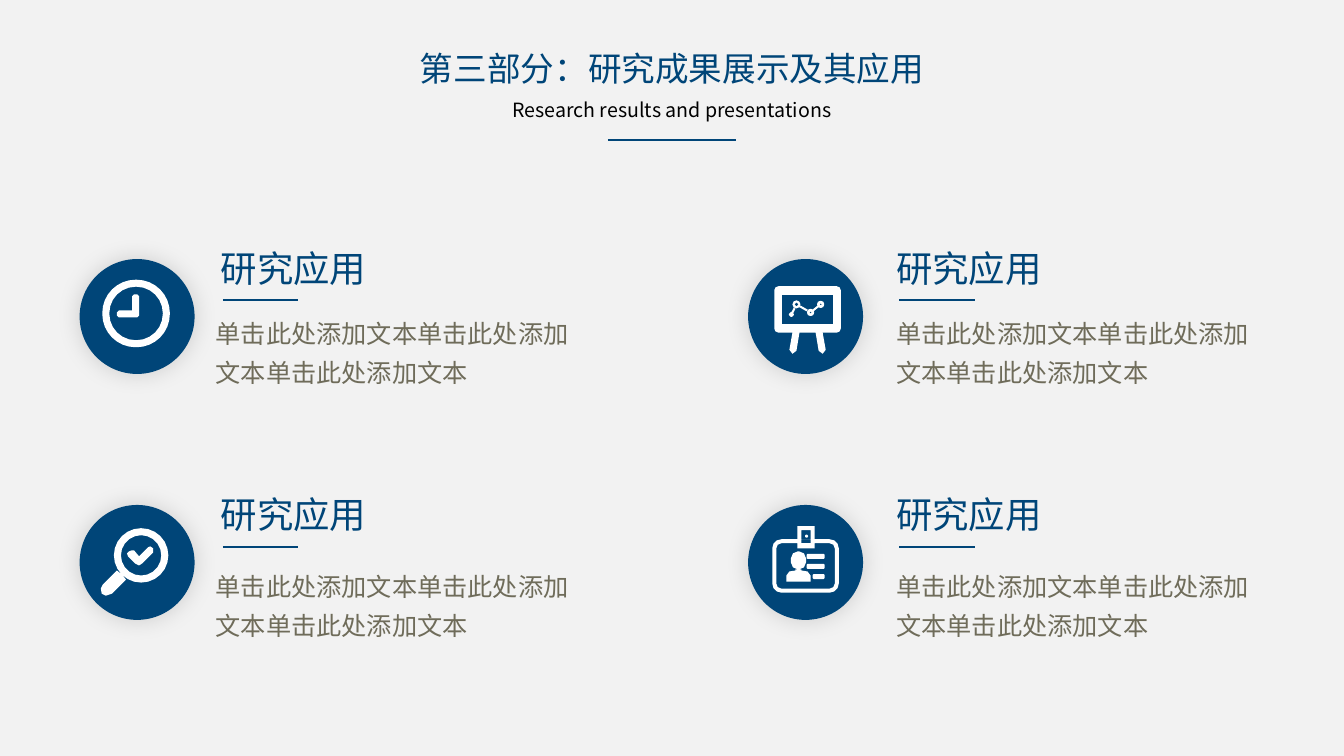
from itertools import product
from math import cos, pi, radians, sin

from lxml.etree import SubElement
from pptx import Presentation
from pptx.dml.color import RGBColor
from pptx.enum.shapes import MSO_CONNECTOR as Connector, MSO_SHAPE as Preset
from pptx.enum.text import MSO_ANCHOR as Anchor, MSO_AUTO_SIZE as AutoSize, PP_ALIGN as Align
from pptx.oxml.ns import qn
from pptx.util import Inches, Pt

NAVY = RGBColor(0x00, 0x45, 0x78)
BLACK = RGBColor(0x00, 0x00, 0x00)
OLIVE = RGBColor(0x6F, 0x6C, 0x5A)
WHITE = RGBColor(0xFF, 0xFF, 0xFF)
PAPER = RGBColor(0xF2, 0xF2, 0xF2)
FONT = "Noto Sans CJK SC"

TITLE = "第三部分：研究成果展示及其应用"
SUBTITLE = "Research results and presentations"
HEADING = "研究应用"
BODY = "单击此处添加文本单击此处添加文本单击此处添加文本"

WIDTH, HEIGHT = 13.33, 7.5
DISC = 1.14
COLUMNS = [
    {"disc": 0.79, "heading": 2.09, "rule": 2.21, "body": 2.04},
    {"disc": 7.42, "heading": 8.79, "rule": 8.92, "body": 8.79},
]
ROWS = [
    {"disc": 2.57, "heading": 2.39, "rule": 2.98, "body": 3.02},
    {"disc": 5.01, "heading": 4.83, "rule": 5.43, "body": 5.53},
]

# tuples: centre x, centre y, width, height, corner radius, rotation; lists: corner points
CLOCK = [
    (0.56, 0.54, 0.67, 0.67, 0.33, 0),
    (0.56, 0.54, 0.53, 0.53, 0.26, 0),
    [(0.52, 0.37), (0.54, 0.35), (0.57, 0.35), (0.59, 0.37), (0.59, 0.56), (0.57, 0.58),
     (0.39, 0.58), (0.37, 0.56), (0.37, 0.53), (0.39, 0.51), (0.52, 0.51)],
]
BOARD = [
    (0.59, 0.5, 0.66, 0.46, 0.04, 0),
    (0.59, 0.5, 0.51, 0.29, 0, 0),
    [(0.44, 0.73), (0.51, 0.73), (0.48, 0.91), (0.44, 0.94), (0.41, 0.9)],
    [(0.67, 0.73), (0.74, 0.73), (0.77, 0.9), (0.74, 0.94), (0.7, 0.91)],
    (0.43, 0.55, 0.05, 0.05, 0.02, 0),
    (0.48, 0.45, 0.08, 0.08, 0.04, 0),
    (0.48, 0.45, 0.04, 0.04, 0.02, 0),
    (0.62, 0.53, 0.07, 0.07, 0.03, 0),
    (0.62, 0.53, 0.02, 0.02, 0.01, 0),
    (0.72, 0.45, 0.07, 0.07, 0.03, 0),
    (0.72, 0.45, 0.02, 0.02, 0.01, 0),
    (0.45, 0.51, 0.05, 0.02, 0, -63),
    (0.55, 0.49, 0.08, 0.02, 0, 30),
    (0.67, 0.49, 0.06, 0.02, 0, -39),
]
MAGNIFIER = [
    (0.61, 0.5, 0.54, 0.54, 0.27, 0),
    (0.61, 0.5, 0.4, 0.4, 0.2, 0),
    [(0.37, 0.65), (0.23, 0.79), (0.21, 0.83), (0.22, 0.88), (0.26, 0.9), (0.32, 0.88),
     (0.46, 0.74), (0.42, 0.69)],
    [(0.7, 0.41), (0.73, 0.43), (0.73, 0.47), (0.62, 0.58), (0.59, 0.6), (0.55, 0.58),
     (0.48, 0.51), (0.47, 0.48), (0.49, 0.46), (0.52, 0.45), (0.54, 0.45), (0.59, 0.51),
     (0.68, 0.42)],
]
BADGE = [
    [(0.49, 0.34), (0.49, 0.21), (0.66, 0.21), (0.66, 0.34)],
    [(0.53, 0.25), (0.62, 0.25), (0.62, 0.38), (0.53, 0.38)],
    [(0.49, 0.38), (0.66, 0.38), (0.66, 0.43), (0.49, 0.43)],
    (0.58, 0.31, 0.03, 0.03, 0.01, 0),
    (0.57, 0.605, 0.66, 0.53, 0.09, 0),
    (0.57, 0.605, 0.58, 0.45, 0.05, 0),
    (0.5, 0.55, 0.15, 0.18, 0.07, 0),
    [(0.47, 0.64), (0.53, 0.64), (0.53, 0.65), (0.59, 0.66), (0.62, 0.7), (0.62, 0.76),
     (0.38, 0.76), (0.38, 0.7), (0.41, 0.66), (0.47, 0.65)],
    (0.67, 0.51, 0.18, 0.05, 0.01, 0),
    (0.67, 0.61, 0.18, 0.05, 0.01, 0),
    (0.7, 0.71, 0.12, 0.05, 0.01, 0),
]
ICONS = [CLOCK, BOARD, MAGNIFIER, BADGE]


def apply(target, values):
    for name, value in values.items():
        setattr(target, name, value)


def add_text(slide, text, box, size, color, **paragraph_format):
    shape = slide.shapes.add_textbox(*map(Inches, box))
    apply(shape.text_frame, {"word_wrap": True, "auto_size": AutoSize.SHAPE_TO_FIT_TEXT,
                             "vertical_anchor": Anchor.TOP})
    paragraph = shape.text_frame.paragraphs[0]
    apply(paragraph, paragraph_format)
    run = paragraph.add_run()
    run.text = text
    apply(run.font, {"size": Pt(size), "name": FONT})
    run.font.color.rgb = color
    SubElement(run.font._element, qn("a:ea"), typeface=FONT)


def add_rule(slide, left, top, length):
    rule = slide.shapes.add_connector(
        Connector.STRAIGHT, *map(Inches, (left, top, left + length, top)))
    rule.line.color.rgb = NAVY
    rule.line.width = Pt(1.5)
    SubElement(rule._element.spPr, qn("a:effectLst"))


def paint(shape, color):
    shape.shadow.inherit = False
    shape.fill.solid()
    shape.fill.fore_color.rgb = color
    shape.line.fill.background()


def add_glow(shape):
    effects = shape._element.spPr.find(qn("a:effectLst"))
    shadow = SubElement(effects, qn("a:outerShdw"), blurRad=str(Pt(17)), dist="0",
                        dir="2700000", algn="ctr", rotWithShape="0")
    color = SubElement(shadow, qn("a:srgbClr"), val=str(BLACK))
    SubElement(color, qn("a:alpha"), val="14000")


def rounded_outline(x, y, width, height, radius, rotation):
    steps = round(radius * 20) + 1 if radius else 0
    turn = radians(rotation)
    points = []
    for corner, (side_x, side_y) in enumerate([(1, 1), (-1, 1), (-1, -1), (1, -1)]):
        for step in range(steps + 1):
            angle = (corner + step / max(steps, 1)) * pi / 2
            across = side_x * (width / 2 - radius) + radius * cos(angle)
            down = side_y * (height / 2 - radius) + radius * sin(angle)
            points.append((x + across * cos(turn) - down * sin(turn),
                           y + across * sin(turn) + down * cos(turn)))
    return points


def add_icon(slide, left, top, parts):
    group = slide.shapes.add_group_shape()
    disc = group.shapes.add_shape(Preset.OVAL, *map(Inches, (left, top, DISC, DISC)))
    paint(disc, NAVY)
    add_glow(disc)
    builder = None
    for part in parts:
        outline = part if isinstance(part, list) else rounded_outline(*part)
        start, *others = [(Inches(left + x), Inches(top + y)) for x, y in outline]
        if builder is None:
            builder = group.shapes.build_freeform(*start)
        else:
            builder.move_to(*start)
        builder.add_line_segments(others, close=True)
    paint(builder.convert_to_shape(), WHITE)


def main():
    presentation = Presentation()
    apply(presentation, {"slide_width": Inches(WIDTH), "slide_height": Inches(HEIGHT)})
    slide = presentation.slides.add_slide(presentation.slide_layouts[6])
    slide.background.fill.solid()
    slide.background.fill.fore_color.rgb = PAPER

    for text, top, width, height, size, color in [
        (TITLE, 0.43, 5.42, 0.91, 24, NAVY),
        (SUBTITLE, 0.92, 6.93, 0.34, 14, BLACK),
    ]:
        box = ((WIDTH - width) / 2, top, width, height)
        add_text(slide, text, box, size, color, alignment=Align.CENTER)
    add_rule(slide, (WIDTH - 1.27) / 2, 1.39, 1.27)

    for (row, column), icon in zip(product(ROWS, COLUMNS), ICONS):
        add_icon(slide, column["disc"], row["disc"], icon)
        add_text(slide, HEADING, (column["heading"], row["heading"], 1.74, 0.54), 26, NAVY)
        add_rule(slide, column["rule"], row["rule"], 0.75)
        add_text(slide, BODY, (column["body"], row["body"], 3.88, 0.85), 18, OLIVE,
                 line_spacing=1.3)

    presentation.save("out.pptx")


if __name__ == "__main__":
    main()
